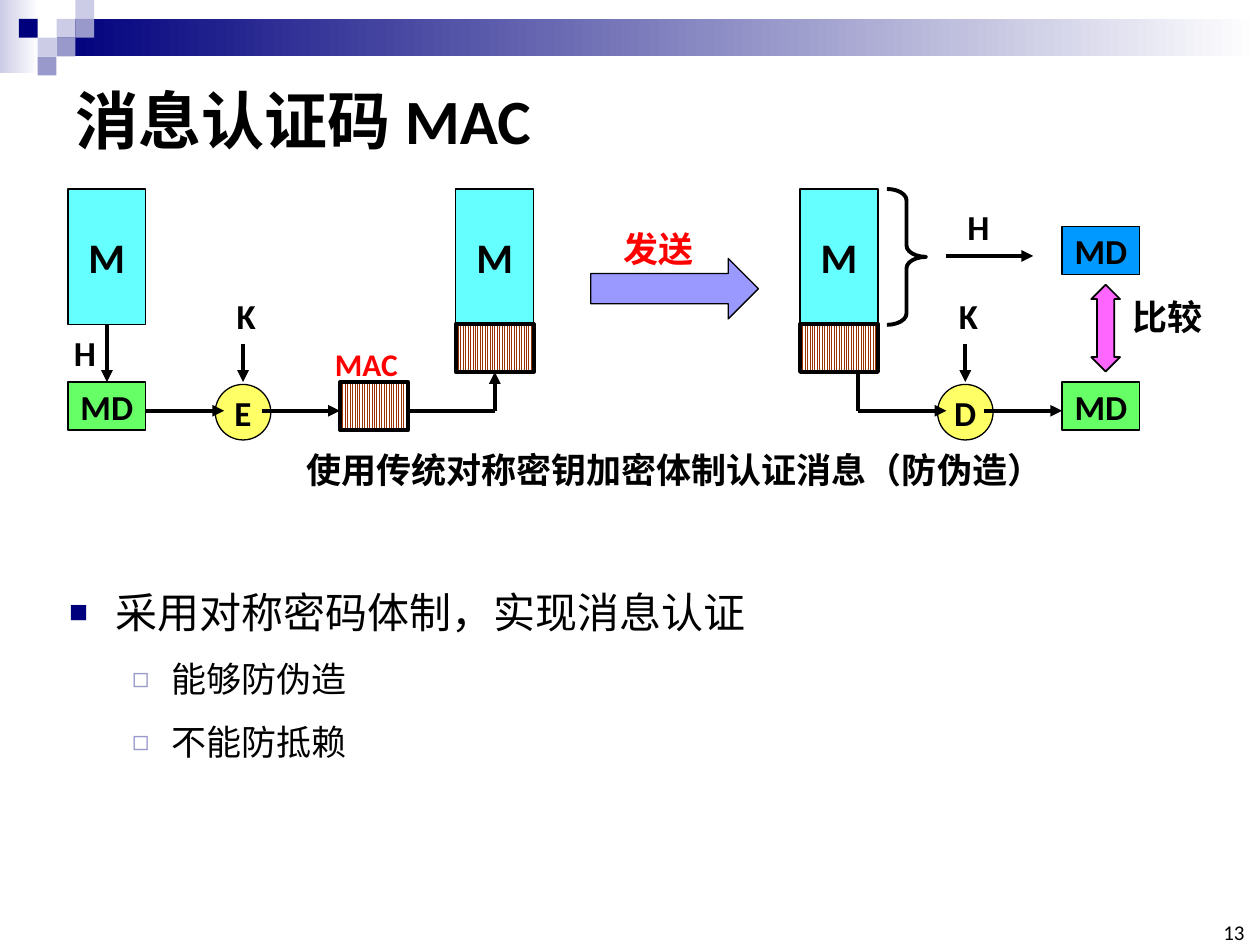
import pptx
import pptx.util
import pptx.dml.color
import pptx.enum.dml
import pptx.enum.shapes
import pptx.enum.text
import pptx.oxml.ns
from lxml import etree

Cm, Pt = pptx.util.Cm, pptx.util.Pt
MSO = pptx.enum.shapes.MSO_SHAPE
ALIGN = pptx.enum.text.PP_ALIGN
ANCHOR = pptx.enum.text.MSO_ANCHOR
AUTO = pptx.enum.text.MSO_AUTO_SIZE
qn = pptx.oxml.ns.qn

# Content
TITLE = "消息认证码 MAC"
BULLETS = [("采用对称密码体制，实现消息认证", 0), ("能够防伪造", 1), ("不能防抵赖", 1)]
LEVELS = [  # size, left margin, indent, bullet, bullet colour, bullet percent
    (24, 0.94, -0.94, "■", "00007D", 75),
    (20, 2.06, -0.79, "◻", "9999CC", 80),
]
BANDS = [((0, 0, 0.79, 1.47), "CCCCE6"), ((1.14, 0.38, 24.26, 0.76), "00007D")]
TILE = 0.38
TILES = [(3, 1, "CCCCE6"), (4, 0, "CCCCE6"), (4, 1, "9999CC"), (2, 2, "CCCCE6"),
         (1, 1, "00007D"), (3, 2, "9999CC"), (2, 3, "9999CC")]

# Diagram grid (cm)
BOX_W, M_H, BOX_H, CIRCLE = 1.57, 2.74, 0.97, 1.12
LEFT, MIDDLE, RIGHT, FAR = 1.37, 9.19, 16.13, 21.41
M_TOP, TAG_TOP, MD_TOP, WIRE = 3.81, 6.53, 7.7, 8.28
MAC_X, MAC_W = 6.86, 1.37
STAGES = [("E", 4.34, LEFT + BOX_W), ("D", 18.9, 17.3)]  # letter, left, wire start
MD_BOXES = [(LEFT, MD_TOP, "66FF66"), (FAR, MD_TOP, "66FF66"), (FAR, 4.57, "0099FF")]
LABELS = [  # text, left, top, width, size, colour
    ("使用传统对称密钥加密体制认证消息（防伪造）", 5.92, 8.92, 15.47, 20, "000000"),
    ("H", 19.25, 4.01, 0.97, 20, "000000"),
    ("比较", 22.58, 5.84, 1.93, 20, "000000"),
    ("发送", 12.32, 4.47, 1.93, 20, "FF0000"),
    ("H", 1.24, 6.55, 0.97, 20, "000000"),
    ("MAC", 6.5, 6.83, 1.83, 18, "FF0000"),
]


def rgb(value):
    return pptx.dml.color.RGBColor.from_string(value)


def write(tf, text, size=20, color="000000", bold=True, align=ALIGN.LEFT, first=True):
    p = tf.paragraphs[0] if first else tf.add_paragraph()
    p.alignment = align
    r = p.add_run()
    r.text = text
    r.font.name, r.font.size, r.font.bold = "Calibri", Pt(size), bold
    r.font.color.rgb = rgb(color)
    return p


def shape(kind, x, y, w, h, fill=None, line="000000", width=0.75, text=None, size=20):
    sp = s.shapes.add_shape(kind, Cm(x), Cm(y), Cm(w), Cm(h))
    sp.shadow.inherit = False
    if fill:
        sp.fill.solid()
        sp.fill.fore_color.rgb = rgb(fill)
    else:
        sp.fill.background()
    if line:
        sp.line.color.rgb = rgb(line)
        sp.line.width = Pt(width)
    else:
        sp.line.fill.background()
    if text:
        tf = sp.text_frame
        tf.word_wrap = False
        tf.vertical_anchor = ANCHOR.MIDDLE
        write(tf, text, size, align=ALIGN.CENTER)
    return sp


def tag(x, w=BOX_W, y=TAG_TOP):
    sp = shape(MSO.RECTANGLE, x, y, w, BOX_H, width=2.25)
    sp.fill.patterned()
    sp.fill.pattern = pptx.enum.dml.MSO_PATTERN.LIGHT_VERTICAL
    sp.fill.fore_color.rgb = rgb("993300")
    sp.fill.back_color.rgb = rgb("FFFFFF")
    return sp


def label(text, x, y, w, size=20, color="000000", align=ALIGN.LEFT):
    tf = s.shapes.add_textbox(Cm(x), Cm(y), Cm(w), Cm(1.12)).text_frame
    tf.word_wrap = False
    tf.auto_size = AUTO.SHAPE_TO_FIT_TEXT
    write(tf, text, size, color, align=align)


def wire(x1, y1, x2, y2, arrow=True, begin=None, end=None):
    c = s.shapes.add_connector(pptx.enum.shapes.MSO_CONNECTOR.STRAIGHT,
                               Cm(x1), Cm(y1), Cm(x2), Cm(y2))
    if begin:
        c.begin_connect(*begin)
    if end:
        c.end_connect(*end)
    c.line.color.rgb = rgb("000000")
    c.line.width = Pt(2.25)
    spPr = c._element.spPr
    if arrow:
        etree.SubElement(spPr.find(qn("a:ln")), qn("a:tailEnd"), type="triangle")
    etree.SubElement(spPr, qn("a:effectLst"))


def bullet(p, margin, indent, char, color, percent):
    pPr = p._p.get_or_add_pPr()
    pPr.set("marL", str(Cm(margin)))
    pPr.set("indent", str(Cm(indent)))
    clr = etree.SubElement(pPr, qn("a:buClr"))
    etree.SubElement(clr, qn("a:srgbClr"), val=color)
    etree.SubElement(pPr, qn("a:buSzPct"), val=str(percent * 1000))
    etree.SubElement(pPr, qn("a:buChar"), char=char)


def place(sp, x, y, w, h):
    sp.left, sp.top, sp.width, sp.height = Cm(x), Cm(y), Cm(w), Cm(h)


prs = pptx.Presentation()
prs.slide_width, prs.slide_height = Cm(25.4), Cm(19.05)
s = prs.slides.add_slide(prs.slide_layouts[1])

# Header decoration
for box, color in BANDS:
    fill = shape(MSO.RECTANGLE, *box, line=None).fill
    fill.gradient()
    fill.gradient_angle = 0
    for stop, value in zip(fill.gradient_stops, (color, "FFFFFF")):
        stop.color.rgb = rgb(value)
for col, row, color in TILES:
    shape(MSO.RECTANGLE, col * TILE, row * TILE, TILE, TILE, color, None)

# Title and list
title, body = s.shapes.title, s.placeholders[1]
place(title, 1.27, 1.27, 22.86, 2.26)
title.text_frame.vertical_anchor = ANCHOR.MIDDLE
write(title.text_frame, TITLE, 36)
place(body, 1.14, 11.18, 23.24, 4.98)
body.text_frame.auto_size = AUTO.NONE
for i, (text, level) in enumerate(BULLETS):
    size, *marker = LEVELS[level]
    p = write(body.text_frame, text, size, bold=False, align=ALIGN.JUSTIFY, first=i == 0)
    p.level = level
    p.line_spacing = 1.5
    p.space_before = Pt(0)
    bullet(p, *marker)

# Message blocks, tags and digests
messages = [shape(MSO.RECTANGLE, x, M_TOP, BOX_W, M_H, "66FFFF", text="M", size=24)
            for x in (LEFT, MIDDLE, RIGHT)]
middle_tag, right_tag = tag(MIDDLE), tag(RIGHT)
tag(MAC_X, MAC_W, MD_TOP)
digests = [shape(MSO.RECTANGLE, x, y, BOX_W, BOX_H, color, text="MD")
           for x, y, color in MD_BOXES]

# Brace and block arrows
brace = shape(MSO.RIGHT_BRACE, 17.88, M_TOP, 0.79, M_H, width=2.25)
brace.adjustments[0] = 0.29
shape(MSO.RIGHT_ARROW, 11.91, 5.21, 3.38, 1.22, "9999FF")
compare = shape(MSO.UP_DOWN_ARROW, 22, 5.74, 0.58, 1.75, "FF66FF", width=1)
compare.adjustments[1] = 0.6

# Encryption and decryption stages
for letter, x, start in STAGES:
    shape(MSO.OVAL, x, 7.75, CIRCLE, CIRCLE, "FFFF66", text=letter)
    label("K", x + 0.18, 5.82, 0.91)
    wire(x + CIRCLE / 2, 6.93, x + CIRCLE / 2, MD_TOP)
    wire(start, WIRE, x + 0.18, WIRE)
    wire(x + 0.94, WIRE, x + 2.51, WIRE)

# Remaining wires
center = MIDDLE + BOX_W / 2
wire(LEFT, TAG_TOP, LEFT, MD_TOP, begin=(messages[0], 2), end=(digests[0], 0))
wire(MAC_X + MAC_W, WIRE, center, WIRE, arrow=False)
wire(center, WIRE, center, TAG_TOP + BOX_H, end=(middle_tag, 2))
wire(17.3, WIRE, 17.3, TAG_TOP + BOX_H, arrow=False)
wire(19.08, 5.16, 20.83, 5.16)

# Labels and page number
for text, x, y, w, size, color in LABELS:
    label(text, x, y, w, size, color)
tf = s.shapes.add_textbox(Cm(24.51), Cm(18.62), Cm(0.58), Cm(0.43)).text_frame
tf.margin_left = tf.margin_right = tf.margin_top = tf.margin_bottom = 0
tf.word_wrap = True
tf.vertical_anchor = ANCHOR.BOTTOM
write(tf, "13", 12, bold=False, align=ALIGN.RIGHT)

prs.save("out.pptx")
